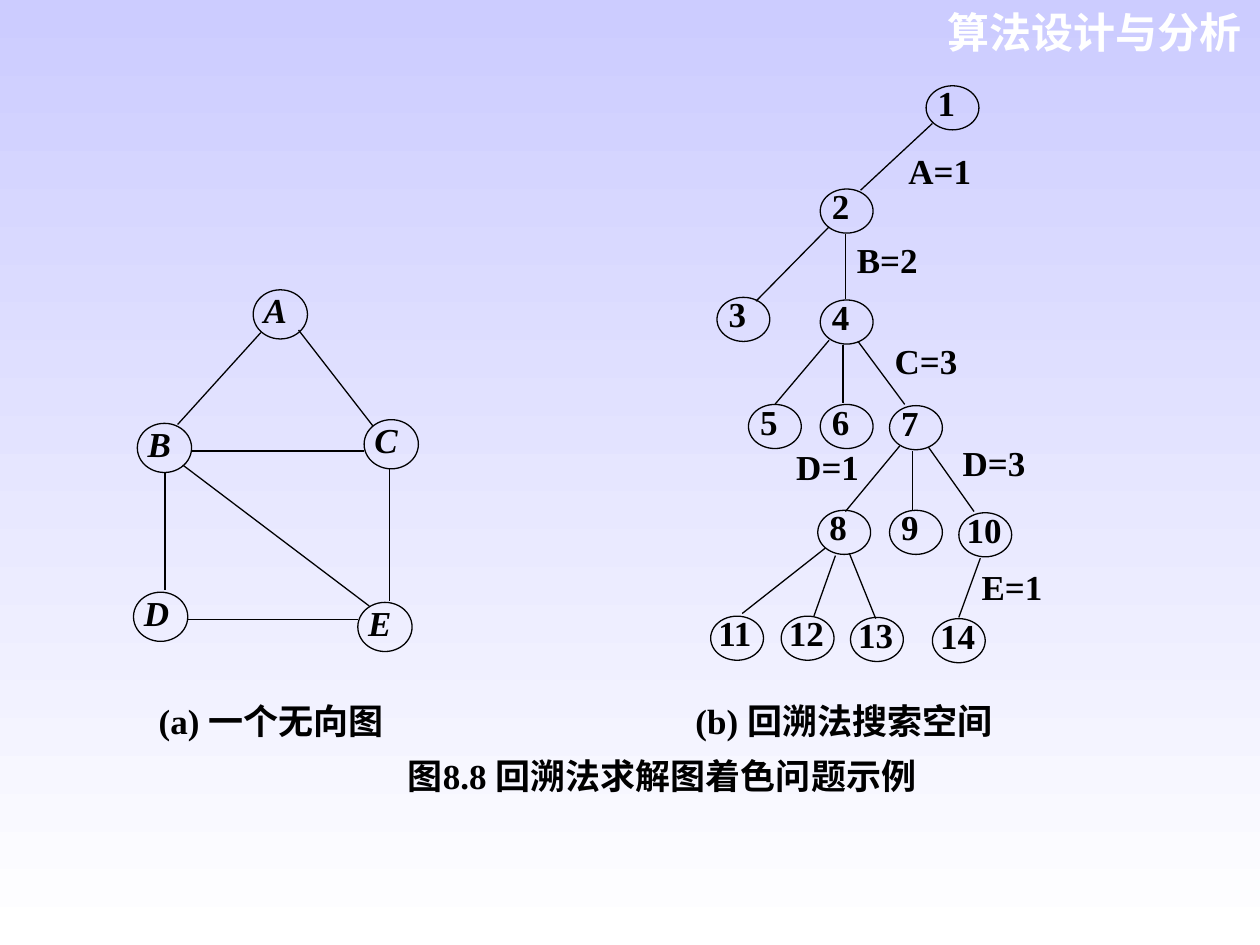
from dataclasses import dataclass
from lxml.etree import SubElement as Sub
from pptx import Presentation as Deck
from pptx.dml.color import RGBColor as Rgb
from pptx.enum.shapes import MSO_CONNECTOR as Link, MSO_SHAPE as Form
from pptx.enum.text import MSO_ANCHOR as Anchor, PP_ALIGN as Align
from pptx.oxml.ns import qn
from pptx.util import Pt


@dataclass(frozen=True)
class Theme:
    ink: Rgb = Rgb(0, 0, 0)
    top: Rgb = Rgb(0xCC, 0xCC, 0xFF)
    base: Rgb = Rgb(0xFF, 0xFF, 0xFF)
    head: Rgb = Rgb(0xFF, 0xFF, 0xFF)
    serif: str = "Times New Roman"
    sans: str = "Arial"
    body: int = 20
    title: int = 24
    rule: float = 0.75


LOOK = Theme()
BODY = {"name": LOOK.serif, "size": Pt(LOOK.body), "bold": True}
HEAD = {"name": LOOK.sans, "size": Pt(LOOK.title), "bold": True}
SIDES = ("left", "top", "right", "bottom")

GRAPH = {"A": (144.7, 165.6), "B": (78.5, 241.9), "C": (208.1, 239.8),
         "D": (76.3, 338.4), "E": (204.5, 344.2)}
SMALL = {"1": (529.2, 49), "2": (468.7, 108), "3": (409.7, 169.9),
         "4": (468.7, 171.4), "5": (427.7, 231.1), "6": (468.7, 231.1),
         "7": (508.3, 231.8), "8": (467.3, 291.6), "9": (508.3, 291.6)}
LARGE = {"10": (547.9, 293), "11": (406.1, 352.1), "12": (446.4, 352.1),
         "13": (486, 352.8), "14": (532.8, 353.5)}
EDGES = [
    (149, 190.1, 101.5, 242.6), (170.6, 188.6, 213.1, 243.4),
    (109.4, 257.8, 208.1, 257.8), (94.3, 270, 94.3, 337),
    (222.5, 267.8, 222.5, 343.4), (107.3, 354.2, 204.5, 354.2),
    (104.4, 265.7, 211, 346.3),
]
TWIGS = [
    (532.8, 70.6, 491.8, 108.7), (473.8, 129.6, 432, 172.1),
    (483.1, 133.9, 483.1, 170.6), (473.8, 194.4, 442.8, 231.1),
    (481.7, 197.3, 481.7, 230.4), (490.3, 195.1, 517, 231.1),
    (514.1, 254.9, 483.1, 292.3), (521.3, 257.8, 521.3, 291.6),
    (530.6, 255.6, 556.6, 292.3), (471.6, 313.2, 424.1, 350.6),
    (477.4, 317.5, 465.1, 352.1), (485.3, 316.1, 500.4, 353.5),
    (560.2, 319, 547.9, 352.8),
]
MARKS = [("A=1", 519.1, 90), ("B=2", 489.6, 141.1), ("C=3", 511.2, 198.7),
         ("D=1", 455, 259.2), ("D=3", 550.1, 257), ("E=1", 560.9, 327.6)]


def apply(item, values):
    for key, value in values.items():
        setattr(item, key, value)


def frame(shape, pads=(0, 0, 0, 0)):
    text = shape.text_frame
    apply(text, {"word_wrap": True, "vertical_anchor": Anchor.TOP})
    apply(text, {f"margin_{side}": Pt(pad) for side, pad in zip(SIDES, pads)})
    return text


def write(para, words, font=BODY, color=LOOK.ink, **form):
    apply(para, {"alignment": Align.JUSTIFY, **form})
    run = para.add_run()
    run.text = words
    apply(run.font, font)
    run.font.color.rgb = color


def box(slide, *area):
    return slide.shapes.add_textbox(*map(Pt, area))


def nodes(slide, spots, size, pad, space, font=BODY):
    for name, spot in spots.items():
        oval = slide.shapes.add_shape(Form.OVAL, *map(Pt, spot + size))
        oval.shadow.inherit = False
        oval.fill.background()
        oval.line.color.rgb = LOOK.ink
        oval.line.width = Pt(LOOK.rule)
        text = frame(oval, (pad, 0, 0, 0))
        write(text.paragraphs[0], name, font, line_spacing=space)


def lines(slide, ends):
    for end in ends:
        line = slide.shapes.add_connector(Link.STRAIGHT, *map(Pt, end))
        line.line.color.rgb = LOOK.ink
        line.line.width = Pt(LOOK.rule)
        Sub(line._element.spPr, qn("a:effectLst"))


def marks(slide):
    for words, left, top in MARKS:
        text = frame(box(slide, left, top, 41.8, 21.6))
        write(text.paragraphs[0], words, line_spacing=0.8)


def title(slide):
    text = frame(box(slide, 521.3, 0, 195.1, 36), (7.2, 3.6, 7.2, 3.6))
    write(text.paragraphs[0], "算法设计与分析", HEAD, LOOK.head,
          alignment=Align.RIGHT)


def notes(slide):
    text = frame(box(slide, 90.7, 399.6, 575.3, 79.9))
    para = text.paragraphs[0]
    tabs = Sub(para._p.get_or_add_pPr(), qn("a:tabLst"))
    Sub(tabs, qn("a:tab"), pos=str(Pt(306.7)), algn="l")
    write(para, "(a) 一个无向图\t(b) 回溯法搜索空间")
    write(text.add_paragraph(), "图8.8 回溯法求解图着色问题示例",
          alignment=Align.CENTER, space_before=Pt(7.7))


def shade(slide):
    fill = slide.background.fill
    fill.gradient()
    fill.gradient_angle = 270
    for stop, color in zip(fill.gradient_stops, (LOOK.top, LOOK.base)):
        stop.color.rgb = color


def main():
    deck = Deck()
    apply(deck, {"slide_width": Pt(720), "slide_height": Pt(540)})
    slide = deck.slides.add_slide(deck.slide_layouts[6])
    shade(slide)
    title(slide)
    nodes(slide, GRAPH, (31, 28.1), 1.4, 0.8, {**BODY, "italic": True})
    lines(slide, EDGES)
    nodes(slide, SMALL, (30.2, 25.2), 2.2, 0.72)
    nodes(slide, LARGE, (30.2, 25.2), 0, 0.72)
    lines(slide, TWIGS)
    marks(slide)
    notes(slide)
    deck.save("out.pptx")


if __name__ == "__main__":
    main()
